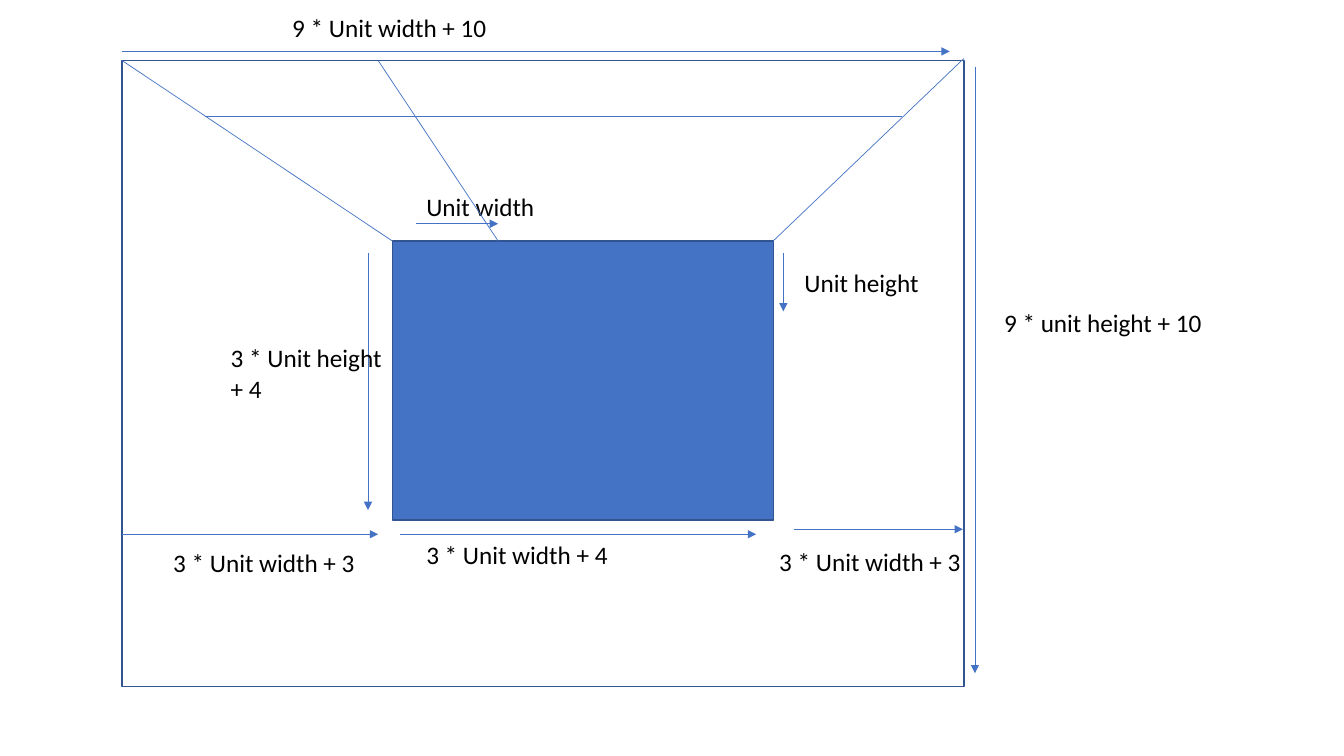
from collections import namedtuple

from lxml.etree import SubElement
from pptx import Presentation
from pptx.dml.color import RGBColor
from pptx.enum.shapes import MSO_CONNECTOR, MSO_SHAPE
from pptx.oxml.ns import qn
from pptx.util import Inches, Pt

BLUE, DARK_BLUE, BLACK = "4472C4", "325491", "000000"
Box = namedtuple("Box", "left top width height")


def color(hex_string):
    """Turn a hex string into a colour."""
    return RGBColor.from_string(hex_string)


def add_rectangle(slide, box, fill=None):
    """Draw an outlined rectangle, filled when a colour is given."""
    shape = slide.shapes.add_shape(MSO_SHAPE.RECTANGLE, *map(Inches, box))
    shape.shadow.inherit = False
    if fill:
        shape.fill.solid()
        shape.fill.fore_color.rgb = color(fill)
    else:
        shape.fill.background()
    shape.line.color.rgb = color(DARK_BLUE)
    shape.line.width = Pt(1)


def add_line(slide, start, end, arrow=False):
    """Draw a thin line, with an arrowhead at its end if asked."""
    connector = slide.shapes.add_connector(
        MSO_CONNECTOR.STRAIGHT, *map(Inches, (*start, *end)))
    connector.line.color.rgb = color(BLUE)
    connector.line.width = Pt(0.5)
    if arrow:
        SubElement(connector.line._get_or_add_ln(), qn("a:tailEnd"), type="triangle")
    SubElement(connector._element.spPr, qn("a:effectLst"))


def add_label(slide, text, left, top, width, height=0.4):
    """Write a black label on the slide."""
    shape = slide.shapes.add_textbox(*map(Inches, (left, top, width, height)))
    frame = shape.text_frame
    frame.word_wrap = False
    paragraph = frame.paragraphs[0]
    paragraph.text = text
    paragraph.font.size = Pt(18)
    paragraph.font.name = "Calibri"
    paragraph.font.color.rgb = color(BLACK)


def add_horizontal_dimension(slide, text, left, top, length, label):
    """Draw a rightward arrow and its label, given as offset and width."""
    add_line(slide, (left, top), (left + length, top), arrow=True)
    dx, dy, width = label
    add_label(slide, text, left + dx, top + dy, width)


def add_vertical_dimension(slide, text, left, top, length, label):
    """Draw a downward arrow and its label, given as offset and size."""
    add_line(slide, (left, top), (left, top + length), arrow=True)
    dx, dy, *size = label
    add_label(slide, text, left + dx, top + dy, *size)


def add_back_wall(slide, wall):
    """Draw the back wall with its unit and full dimensions."""
    left, top, width, height = wall
    right, bottom = left + width, top + height
    add_rectangle(slide, wall, BLUE)
    add_vertical_dimension(slide, "Unit height", right + 0.1, top + 0.12, 0.58,
                           (0.11, 0.09, 1.35))
    add_vertical_dimension(slide, "3 * Unit height\v+ 4", left - 0.24, top + 0.12, 2.55,
                           (-1.46, 0.84, 1.72, 0.71))
    add_horizontal_dimension(slide, "Unit width", left + 0.24, top - 0.17, 0.81,
                             (0, -0.37, 1.29))
    add_horizontal_dimension(slide, "3 * Unit width + 4", left + 0.08, bottom + 0.14, 3.53,
                             (0.16, 0, 2.03))


def add_ceiling(slide, room, wall):
    """Draw the ceiling edges and grid lines from the room front to the wall."""
    room_right, wall_right = room.left + room.width, wall.left + wall.width
    add_line(slide, (wall_right, wall.top), (room_right, room.top - 0.02))
    add_line(slide, (wall.left, wall.top), (room.left, room.top))
    add_line(slide, (wall.left + 1.05, wall.top), (room.left + 2.54, room.top))
    add_line(slide, (room.left + 0.82, room.top + 0.55),
             (room_right - 0.61, room.top + 0.55))


def add_room_front(slide, room, wall):
    """Draw the room outline with its overall and side dimensions."""
    left, top, width, height = room
    right, wall_right = left + width, wall.left + wall.width
    wall_bottom = wall.top + wall.height
    add_rectangle(slide, room)
    add_horizontal_dimension(slide, "9 * Unit width + 10", left, top - 0.09, 8.21,
                             (1.59, -0.44, 2.15))
    add_vertical_dimension(slide, "9 * unit height + 10", right + 0.11, top + 0.06, 6.02,
                           (0.19, 2.34, 2.19))
    add_horizontal_dimension(slide, "3 * Unit width + 3", left, wall_bottom + 0.14, 2.54,
                             (0.41, 0.08, 2.03))
    add_horizontal_dimension(slide, "3 * Unit width + 3", wall_right + 0.21,
                             wall_bottom + 0.09, 1.67, (-0.25, 0.12, 2.03))


def build():
    """Build the room diagram and save it."""
    presentation = Presentation()
    presentation.slide_width = Inches(13.33)
    presentation.slide_height = Inches(7.5)
    slide = presentation.slides.add_slide(presentation.slide_layouts[6])
    room = Box(1.21, 0.6, 8.35, 6.21)
    wall = Box(3.89, 2.39, 3.78, 2.77)
    add_back_wall(slide, wall)
    add_room_front(slide, room, wall)
    add_ceiling(slide, room, wall)
    presentation.save("out.pptx")


build()
